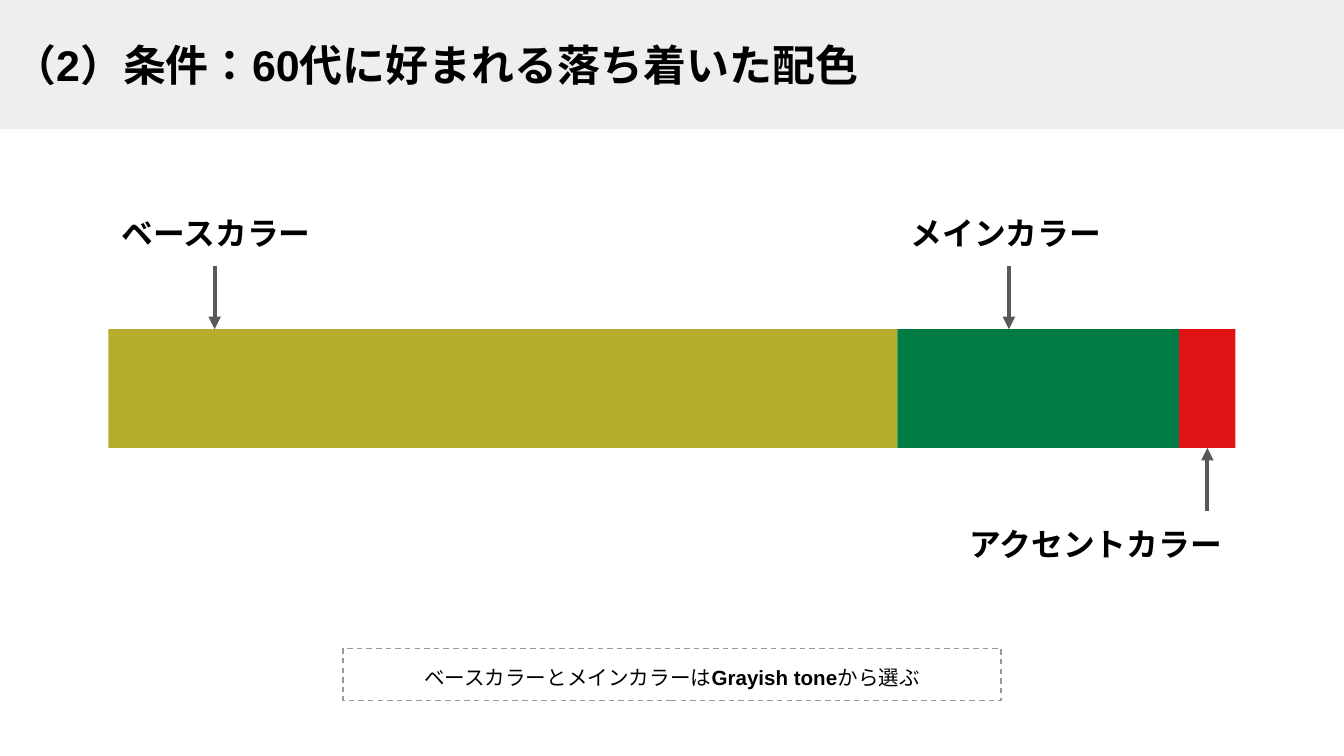
from itertools import accumulate

from lxml import etree
from pptx import Presentation, util as u
from pptx.dml.color import RGBColor
from pptx.enum import dml, lang, shapes, text
from pptx.oxml.ns import qn

COLORS = {
    "text": "000000",
    "header": "EEEEEE",
    "base": "B6AC2B",
    "main": "007B43",
    "accent": "DF1313",
    "arrow": "595959",
    "border": "999999",
}
FONT = "Arial"
WIDTH = u.Inches(10)
HEIGHT = WIDTH * 9 // 16
LEFT, CENTER, RIGHT = text.PP_ALIGN.LEFT, text.PP_ALIGN.CENTER, text.PP_ALIGN.RIGHT


def color(name):
    return RGBColor.from_string(COLORS[name])


def place(left, top, width, height):
    return [round(share * size / 100) for share, size in
            zip((left, top, width, height), (WIDTH, HEIGHT) * 2)]


def write(shape, parts, size, align=LEFT, anchor=text.MSO_ANCHOR.TOP):
    frame = shape.text_frame
    frame.word_wrap = True
    frame.vertical_anchor = anchor
    frame.margin_left = frame.margin_right = u.Inches(0.1)
    frame.margin_top = frame.margin_bottom = u.Inches(0.1)
    paragraph = frame.paragraphs[0]
    paragraph.alignment = align
    for words, bold in parts:
        run = paragraph.add_run()
        run.text = words
        run.font.name = FONT
        run.font.size = u.Pt(size)
        run.font.bold = bold
        run.font.color.rgb = color("text")
        run.font.language_id = lang.MSO_LANGUAGE_ID.JAPANESE
    return paragraph


def add_rectangle(slide, box, fill=None):
    shape = slide.shapes.add_shape(shapes.MSO_SHAPE.RECTANGLE, *place(*box))
    shape.shadow.inherit = False
    shape.line.fill.background()
    if fill:
        shape.fill.solid()
        shape.fill.fore_color.rgb = color(fill)
    else:
        shape.fill.background()
    return shape


def add_header(slide, box, title):
    header = add_rectangle(slide, box, "header")
    write(header, [(title, True)], 23, anchor=text.MSO_ANCHOR.MIDDLE)


def add_label(slide, box, words, align=LEFT):
    label = slide.shapes.add_textbox(*place(*box))
    write(label, [(words, True)], 17, align)


def add_arrow(slide, x, start, end):
    left, top, right, bottom = place(x, start, x, end)
    arrow = slide.shapes.add_connector(
        shapes.MSO_CONNECTOR.STRAIGHT, left, top, right, bottom)
    arrow.line.color.rgb = color("arrow")
    arrow.line.width = u.Pt(2.25)
    properties = arrow._element.spPr
    etree.SubElement(properties.find(qn("a:ln")), qn("a:tailEnd"), type="triangle")
    etree.SubElement(properties, qn("a:effectLst"))


def add_color_bar(slide, box, ratios):
    left, top, width, height = box
    bottom = top + height
    label_height, arrow_length = 8.7, 8.4
    widths = [width * ratio for ratio in ratios.values()]
    lefts = list(accumulate(widths[:-1], initial=left))
    above = top - arrow_length - label_height

    add_label(slide, (left, above, 16.7, label_height), "ベースカラー")
    add_label(slide, (lefts[1], above, 16.7, label_height), "メインカラー")
    add_label(slide, (left + width - 21.6, bottom + arrow_length, 21.6, label_height),
              "アクセントカラー", RIGHT)

    add_arrow(slide, left + 7.9, top - arrow_length, top)
    add_arrow(slide, lefts[1] + 8.3, top - arrow_length, top)
    add_arrow(slide, lefts[2] + widths[2] / 2, bottom + arrow_length, bottom)

    for name, start, span in zip(ratios, lefts, widths):
        add_rectangle(slide, (start, top, span, height), name)


def add_note(slide, box, parts):
    note = add_rectangle(slide, box)
    note.line.color.rgb = color("border")
    note.line.width = u.Pt(0.75)
    note.line.dash_style = dml.MSO_LINE.DASH
    write(note, parts, 11, CENTER).line_spacing = 1.15


presentation = Presentation()
presentation.slide_width, presentation.slide_height = WIDTH, HEIGHT
slide = presentation.slides.add_slide(presentation.slide_layouts[6])

add_color_bar(slide, (8.07, 43.55, 83.86, 15.7),
              {"base": 0.7, "main": 0.25, "accent": 0.05})
add_header(slide, (0, 0, 100, 17.1), "（2）条件：60代に好まれる落ち着いた配色")
add_note(slide, (25.53, 85.75, 48.94, 6.93), [
    ("ベースカラーとメインカラーは", False),
    ("Grayish tone", True),
    ("から選ぶ", False),
])

presentation.save("out.pptx")
